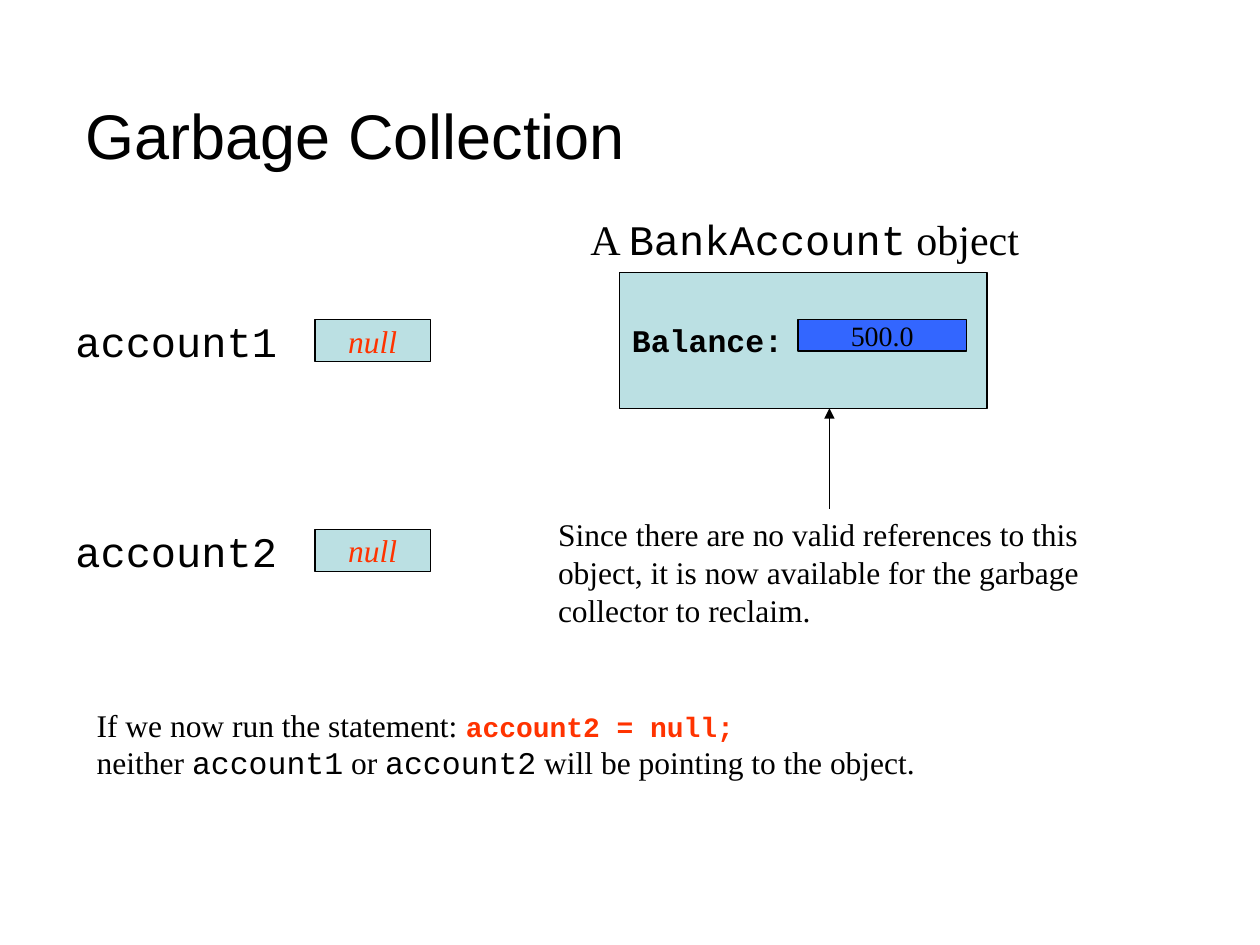
from lxml import etree
from pptx import Presentation
from pptx import util as u
from pptx.dml.color import RGBColor
from pptx.enum import shapes, text
from pptx.oxml.ns import qn

BLACK = RGBColor(0x00, 0x00, 0x00)
RED = RGBColor(0xFF, 0x33, 0x00)
TEAL = RGBColor(0xBB, 0xE0, 0xE3)
BLUE = RGBColor(0x33, 0x66, 0xFF)
SERIF, MONO, SANS = "Times New Roman", "Courier New", "Arial"


def write(tf, lines, size=18, font=SERIF, color=BLACK, bold=False, italic=False,
          align=text.PP_ALIGN.LEFT, anchor=text.MSO_ANCHOR.TOP, wrap=True,
          spacing=None):
    """Fill a frame; a line is a string or a list of (string, overrides)."""
    tf.word_wrap = wrap
    tf.vertical_anchor = anchor
    for i, line in enumerate(lines):
        p = tf.paragraphs[0] if i == 0 else tf.add_paragraph()
        p.alignment = align
        if spacing:
            p.line_spacing = u.Pt(spacing)
        for content, own in [(line, {})] if isinstance(line, str) else line:
            r = p.add_run()
            r.text = content
            r.font.size = u.Pt(own.get("size", size))
            r.font.name = own.get("font", font)
            r.font.bold = own.get("bold", bold)
            r.font.italic = italic
            r.font.color.rgb = own.get("color", color)


def add_text(s, x, y, w, h, lines, **fmt):
    sp = s.shapes.add_textbox(u.Cm(x), u.Cm(y), u.Cm(w), u.Cm(h))
    write(sp.text_frame, lines, **fmt)


def add_box(s, x, y, w, h, fill, label, **fmt):
    sp = s.shapes.add_shape(shapes.MSO_SHAPE.RECTANGLE,
                            u.Cm(x), u.Cm(y), u.Cm(w), u.Cm(h))
    sp.shadow.inherit = False
    sp.fill.solid()
    sp.fill.fore_color.rgb = fill
    sp.line.color.rgb = BLACK
    sp.line.width = u.Pt(0.75)
    write(sp.text_frame, [label], anchor=text.MSO_ANCHOR.MIDDLE, **fmt)


def add_arrow(s, x1, y1, x2, y2):
    c = s.shapes.add_connector(shapes.MSO_CONNECTOR.STRAIGHT,
                               u.Cm(x1), u.Cm(y1), u.Cm(x2), u.Cm(y2))
    c.line.color.rgb = BLACK
    c.line.width = u.Pt(0.75)
    etree.SubElement(c.line._get_or_add_ln(), qn("a:tailEnd"), type="triangle")
    etree.SubElement(c._element.spPr, qn("a:effectLst"))


def main():
    prs = Presentation()
    prs.slide_width, prs.slide_height = u.Cm(25.4), u.Cm(19.05)
    s = prs.slides.add_slide(prs.slide_layouts[6])
    center = text.PP_ALIGN.CENTER

    # Title
    add_text(s, 1.48, 0.85, 23.92, 2.75, ["Garbage Collection"],
             size=36, font=SANS, anchor=text.MSO_ANCHOR.BOTTOM)

    # Statement and its effect
    mono = {"font": MONO}
    add_text(s, 1.7, 14.1, 17, 1.78, [
        [("If we now run the statement: ", {}),
         ("account2 = null;",
          {"font": MONO, "size": 16, "bold": True, "color": RED})],
        [("neither ", {}), ("account1", mono), (" or ", {}),
         ("account2", mono), (" will be pointing to the object.", {})],
    ], wrap=False, spacing=21.6)

    # Note with an arrow to the object
    add_text(s, 11, 10.26, 11.43, 2.54, [
        "Since there are no valid references to this",
        "object, it is now available for the garbage",
        "collector to reclaim.",
    ], spacing=21.6)
    add_arrow(s, 16.72, 10.26, 16.72, 8.23)

    # Variables
    for name, y in (("account1", 6.23), ("account2", 10.46)):
        add_text(s, 1.27, y, 4.65, 1.27, [name], size=24, font=MONO)
        add_box(s, 6.35, y + 0.21, 2.33, 0.85, TEAL, "null",
                color=RED, italic=True, align=center, wrap=False)

    # Object and its balance
    add_text(s, 11.65, 4.17, 9.2, 1.27,
             [[("A ", {}), ("BankAccount", mono), (" object", {})]], size=24)
    add_box(s, 12.49, 5.49, 7.41, 2.74, TEAL, "Balance:", font=MONO, bold=True)
    add_box(s, 16.09, 6.44, 3.39, 0.64, BLUE, "500.0",
            size=16, align=center, wrap=False)

    prs.save("out.pptx")


if __name__ == "__main__":
    main()
